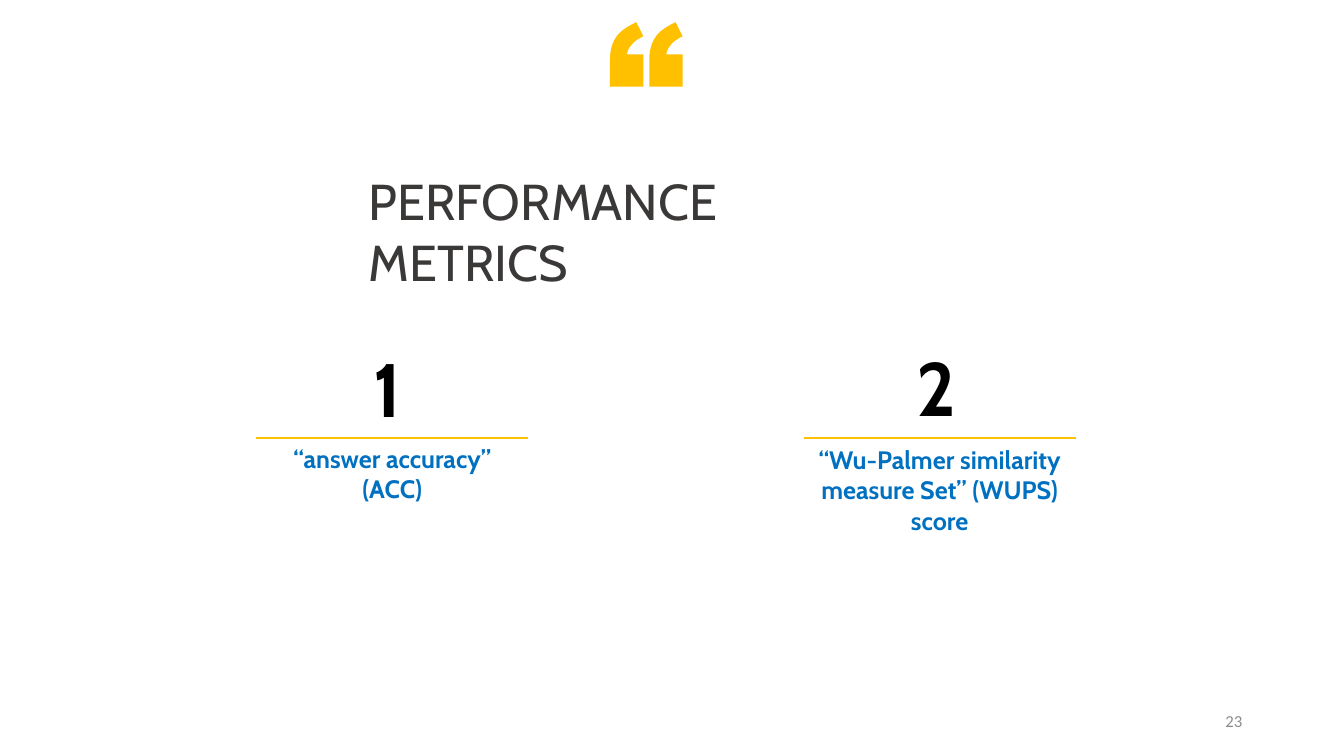
from pptx import Presentation
from pptx.dml.color import RGBColor
from pptx.enum.shapes import MSO_CONNECTOR
from pptx.enum.text import MSO_ANCHOR, MSO_AUTO_SIZE, PP_ALIGN
from pptx.oxml.ns import qn
from pptx.util import Inches, Pt
from lxml import etree

STRAIGHT = MSO_CONNECTOR.STRAIGHT
TOP, MIDDLE = MSO_ANCHOR.TOP, MSO_ANCHOR.MIDDLE
LEFT, CENTER, RIGHT = PP_ALIGN.LEFT, PP_ALIGN.CENTER, PP_ALIGN.RIGHT
GROW, FIXED = MSO_AUTO_SIZE.SHAPE_TO_FIT_TEXT, MSO_AUTO_SIZE.NONE

GOLD = RGBColor(0xFF, 0xC0, 0x00)
BLUE = RGBColor(0x00, 0x70, 0xC0)
BLACK = RGBColor(0x00, 0x00, 0x00)
CHARCOAL = RGBColor(0x3B, 0x38, 0x38)
GRAY = RGBColor(0x8C, 0x8C, 0x8C)

prs = Presentation()
prs.slide_width, prs.slide_height = Inches(13.33), Inches(7.5)
slide = prs.slides.add_slide(prs.slide_layouts[6])


def add_text(text, left, top, width, height, size, color, bold=False,
             align=LEFT, wrap=True, font="Cabin", anchor=TOP, fit=GROW):
    box = slide.shapes.add_textbox(Inches(left), Inches(top), Inches(width), Inches(height))
    frame = box.text_frame
    frame.text = text
    frame.word_wrap = wrap
    frame.auto_size = fit
    frame.vertical_anchor = anchor
    paragraph = frame.paragraphs[0]
    paragraph.alignment = align
    run_font = paragraph.runs[0].font
    run_font.name, run_font.size, run_font.bold = font, Pt(size), bold
    run_font.color.rgb = color


def curve(start, control1, control2, end, steps=12):
    points = []
    for step in range(1, steps + 1):
        t = step / steps
        weights = ((1 - t) ** 3, 3 * t * (1 - t) ** 2, 3 * t ** 2 * (1 - t), t ** 3)
        points.append(tuple(
            sum(w * p[axis] for w, p in zip(weights, (start, control1, control2, end)))
            for axis in (0, 1)))
    return points


add_text("23", 9.42, 6.95, 3, 0.4, 12, GRAY, align=RIGHT, font="Calibri",
         anchor=MIDDLE, fit=FIXED)

quote_outline = [
    (6.31, 0.22), (6.38, 0.36),
    *curve((6.38, 0.36), (6.32, 0.39), (6.28, 0.42), (6.26, 0.45)),
    *curve((6.26, 0.45), (6.24, 0.47), (6.22, 0.51), (6.22, 0.54)),
    (6.38, 0.54), (6.38, 0.86), (6.05, 0.86), (6.05, 0.6),
    *curve((6.05, 0.6), (6.05, 0.5), (6.07, 0.43), (6.11, 0.37)),
    *curve((6.11, 0.37), (6.15, 0.31), (6.21, 0.27), (6.31, 0.22)),
]
left_mark, right_mark = [
    [(Inches(x + shift), Inches(y)) for x, y in quote_outline] for shift in (0, 0.39)]
builder = slide.shapes.build_freeform(*left_mark[0])
builder.add_line_segments(left_mark[1:])
builder.move_to(*right_mark[0])
builder.add_line_segments(right_mark[1:])
quote_marks = builder.convert_to_shape()
quote_marks.shadow.inherit = False
quote_marks.fill.solid()
quote_marks.fill.fore_color.rgb = GOLD
quote_marks.line.fill.background()

metrics = [
    ("1", 3.61, 3.34, 0.57, "“answer accuracy” (ACC)", 2.54, 4.35, 0.71),
    ("2", 8.99, 3.33, 0.66, "“Wu-Palmer similarity measure Set” (WUPS) score", 7.97, 4.36, 1.01),
]
for number, number_left, number_top, number_width, label, left, label_top, label_height in metrics:
    add_text(number, number_left, number_top, number_width, 1.01, 54, BLACK, bold=True, wrap=False)
    rule = slide.shapes.add_connector(
        STRAIGHT, Inches(left), Inches(4.35), Inches(left + 2.7), Inches(4.35))
    rule.line.color.rgb = GOLD
    rule.line.width = Pt(1.5)
    etree.SubElement(rule.element.spPr, qn("a:effectLst"))
    add_text(label, left, label_top, 2.7, label_height, 18, BLUE, bold=True, align=CENTER)

add_text("PERFORMANCE METRICS", 3.56, 1.64, 5.5, 0.71, 36, CHARCOAL)

prs.save("out.pptx")
